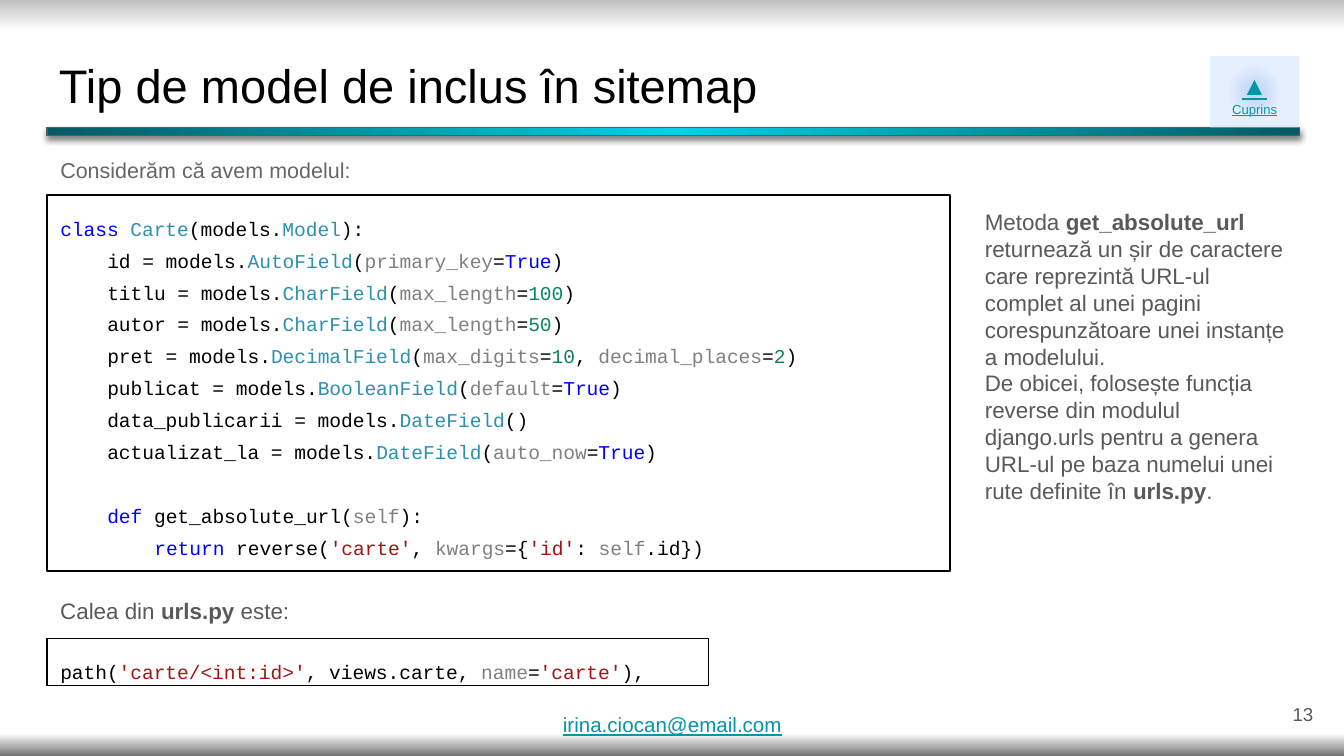
from lxml import etree
from pptx import Presentation
from pptx.dml.color import RGBColor
from pptx.enum.shapes import MSO_SHAPE as SHAPE
from pptx.enum.text import MSO_ANCHOR as ANCHOR, PP_ALIGN as ALIGN
from pptx.oxml import parse_xml
from pptx.oxml.ns import nsdecls, qn
from pptx.util import Inches, Pt

GREY, TEAL = "595959", "0097A7"
PLAIN, KEYWORD, TYPE = "000000", "0000FF", "2B91AF"
NAME, NUMBER, STRING = "808080", "098658", "A31515"
LINE_HEIGHT = 17


def rgb(value):
    """Turn a hex string into a colour."""
    return RGBColor.from_string(value)


def set_gradient(fill, element, stops, radial=False):
    """Give a fill gradient stops of position, colour and opacity."""
    fill.solid()
    gs = "".join(
        f'<a:gs pos="{pos * 1000}"><a:srgbClr val="{color}">'
        f'<a:alpha val="{alpha * 1000}"/></a:srgbClr></a:gs>'
        for pos, color, alpha in stops)
    way = ('<a:path path="circle"><a:fillToRect l="50000" t="50000" r="50000" '
           'b="50000"/></a:path>' if radial else '<a:lin ang="5400000" scaled="0"/>')
    old = next(element.iter(qn("a:solidFill")))
    old.getparent().replace(old, parse_xml(
        f'<a:gradFill {nsdecls("a")} rotWithShape="1"><a:gsLst>{gs}</a:gsLst>{way}</a:gradFill>'))


def add_runs(p, runs, size, font="Arial"):
    """Add runs of text, colour and optional style letters to a paragraph."""
    for text, color, *style in runs:
        r = p.add_run()
        r.text = text
        r.font.size, r.font.name = Pt(size), font
        r.font.color.rgb = rgb(color)
        if "b" in style:
            r.font.bold = True
        if "u" in style:
            r.font.underline = True


def set_frame(tf, anchor=ANCHOR.TOP, margin=0.1):
    """Set wrapping, margins and anchor of a text frame."""
    tf.word_wrap = True
    tf.vertical_anchor = anchor
    tf.margin_left = tf.margin_right = Inches(0.1)
    tf.margin_top = tf.margin_bottom = Inches(margin)


def add_text(s, box, paragraphs, size, align=ALIGN.LEFT, **frame):
    """Place a text box with a list of paragraphs."""
    tf = s.shapes.add_textbox(*map(Inches, box)).text_frame
    set_frame(tf, **frame)
    for i, runs in enumerate(paragraphs):
        p = tf.add_paragraph() if i else tf.paragraphs[0]
        p.alignment = align
        add_runs(p, runs, size)


def add_box(s, box):
    """Place a plain rectangle without fill, line or shadow."""
    sp = s.shapes.add_shape(SHAPE.RECTANGLE, *map(Inches, box))
    sp.shadow.inherit = False
    sp.fill.background()
    sp.line.fill.background()
    set_frame(sp.text_frame)
    return sp


def set_line(sp, color):
    """Outline a shape."""
    sp.line.color.rgb = rgb(color)
    sp.line.width = Pt(0.75)


def add_code(s, box, lines):
    """Place a framed listing of indent level, blank lines before and runs."""
    sp = add_box(s, box)
    set_line(sp, PLAIN)
    tf = sp.text_frame
    for i, (level, blanks, runs) in enumerate(lines):
        p = tf.add_paragraph() if i else tf.paragraphs[0]
        p.alignment = ALIGN.LEFT
        p.line_spacing = 1.36
        p.space_before = Pt(blanks * LINE_HEIGHT)
        p._p.get_or_add_pPr().set("marL", str(Inches(0.35 * level)))
        add_runs(p, runs, 10.5, "Courier New")


def field(name, kind, *options):
    """Return the code line of one model field."""
    runs = [(f"{name} = models.", PLAIN), (kind, TYPE), ("(" if options else "()", PLAIN)]
    for i, (key, value) in enumerate(options):
        if i:
            runs.append((", ", PLAIN))
        color = KEYWORD if value == "True" else NUMBER
        runs += [(key, NAME), ("=", PLAIN), (value, color)]
    if options:
        runs.append((")", PLAIN))
    return 1, 0, runs


def add_header(s, left, top, width):
    """Place the title, the bar below it and the contents badge."""
    add_text(s, (left - 0.01, top, width, 0.63),
             [[("Tip de model de inclus în sitemap", PLAIN)]], 25.2)
    bar = add_box(s, (left, top + 0.63, width, 0.06))
    set_gradient(bar.fill, bar._element.spPr,
                 [(0, "00D2E9", 100), (100, "045962", 100)], radial=True)
    set_line(bar, GREY)
    effects = bar._element.spPr.find(qn("a:effectLst"))
    shadow = etree.SubElement(effects, qn("a:outerShdw"), blurRad=str(Pt(3.4)),
                              dist=str(Pt(1.5)), dir="5400000", algn="bl", rotWithShape="0")
    color = etree.SubElement(shadow, qn("a:srgbClr"), val="000000")
    etree.SubElement(color, qn("a:alpha"), val="50000")

    badge = add_box(s, (left + width - 0.66, top + 0.1, 0.65, 0.53))
    set_gradient(badge.fill, badge._element.spPr,
                 [(0, "BCD6FF", 37), (0, "4A86E8", 37), (48, "BCD6FF", 37),
                  (100, "BCD6FF", 37)], radial=True)
    tf = badge.text_frame
    for p, text, size in ((tf.paragraphs[0], "▲", 14), (tf.add_paragraph(), "Cuprins", 7)):
        p.alignment = ALIGN.CENTER
        add_runs(p, [(text, TEAL, "u")], size)


def add_model(s, left, top, width):
    """Place the model listing with its lead-in and explanation."""
    add_text(s, (left, top, width, 0.43), [[("Considerăm că avem modelul:", "666666")]], 11.5)
    add_code(s, (left, top + 0.38, 6.72, 2.8), [
        (0, 0, [("class", KEYWORD), (" ", PLAIN), ("Carte", TYPE), ("(models.", PLAIN),
                ("Model", TYPE), ("):", PLAIN)]),
        field("id", "AutoField", ("primary_key", "True")),
        field("titlu", "CharField", ("max_length", "100")),
        field("autor", "CharField", ("max_length", "50")),
        field("pret", "DecimalField", ("max_digits", "10"), ("decimal_places", "2")),
        field("publicat", "BooleanField", ("default", "True")),
        field("data_publicarii", "DateField"),
        field("actualizat_la", "DateField", ("auto_now", "True")),
        (1, 1, [("def", KEYWORD), (" get_absolute_url(", PLAIN), ("self", NAME), ("):", PLAIN)]),
        (2, 0, [("return", KEYWORD), (" reverse(", PLAIN), ("'carte'", STRING), (", ", PLAIN),
                ("kwargs", NAME), ("={", PLAIN), ("'id'", STRING), (": ", PLAIN),
                ("self", NAME), (".id})", PLAIN)]),
    ])
    add_text(s, (left + 6.88, top + 0.38, width - 6.88, 2.41), [
        [("Metoda ", GREY), ("get_absolute_url ", GREY, "b"),
         ("returnează un șir de caractere care reprezintă URL-ul complet al unei pagini "
          "corespunzătoare unei instanțe a modelului.", GREY)],
        [("De obicei, folosește funcția reverse din modulul django.urls pentru a genera "
          "URL-ul pe baza numelui unei rute definite în ", GREY),
         ("urls.py", GREY, "b"), (".", GREY)],
    ], 12)


def add_route(s, left, top):
    """Place the route listing with its lead-in."""
    add_text(s, (left, top, 3.26, 0.34),
             [[("Calea din ", GREY), ("urls.py", GREY, "b"), (" este:", GREY)]], 12)
    add_code(s, (left, top + 0.41, 4.92, 0.35), [
        (0, 0, [("path(", PLAIN), ("'carte/<int:id>'", STRING), (", views.carte, ", PLAIN),
                ("name", NAME), ("=", PLAIN), ("'carte'", STRING), ("),", PLAIN)])])


def add_footer(s, top):
    """Place the contact address and the slide number."""
    add_text(s, (9.27, top, 0.6, 0.43), [[("13", GREY)]], 10, ALIGN.RIGHT, anchor=ANCHOR.MIDDLE)
    add_text(s, (4.09, top + 0.2, 1.84, 0.27), [[("irina.ciocan@email.com", TEAL, "u")]], 11,
             margin=0)


def main():
    """Build the slide and save it."""
    prs = Presentation()
    prs.slide_width, prs.slide_height = Inches(10), Inches(10 * 9 / 16)
    s = prs.slides.add_slide(prs.slide_layouts[6])
    set_gradient(s.background.fill, s._element,
                 [(0, "BFBFBF", 100), (4, "FFFFFF", 100), (97, "FFFFFF", 100),
                  (100, "737373", 100)])
    add_header(s, 0.35, 0.32, 9.32)
    add_model(s, 0.35, 1.07, 9.32)
    add_route(s, 0.35, 4.34)
    add_footer(s, 5.1)
    prs.save("out.pptx")


if __name__ == "__main__":
    main()
